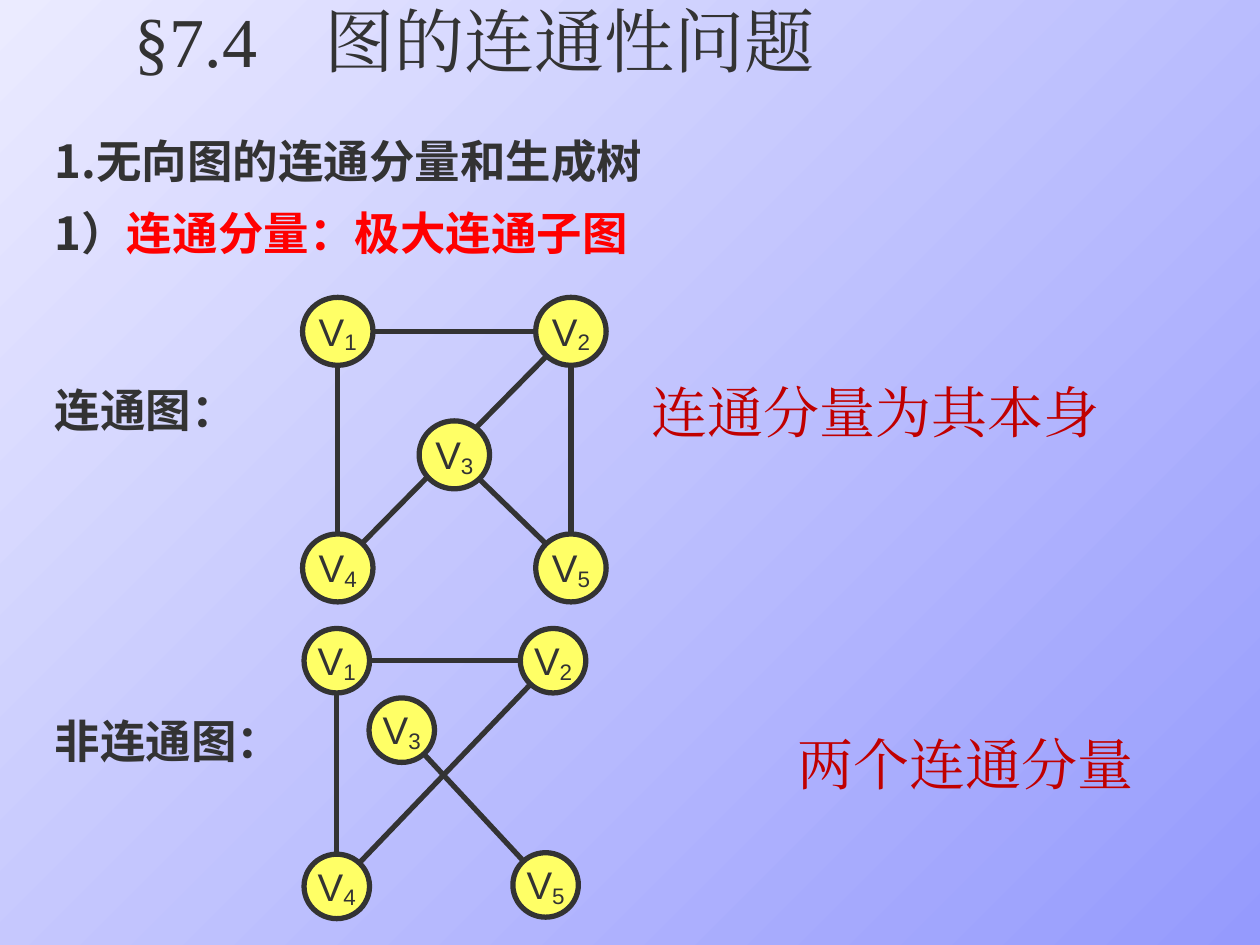
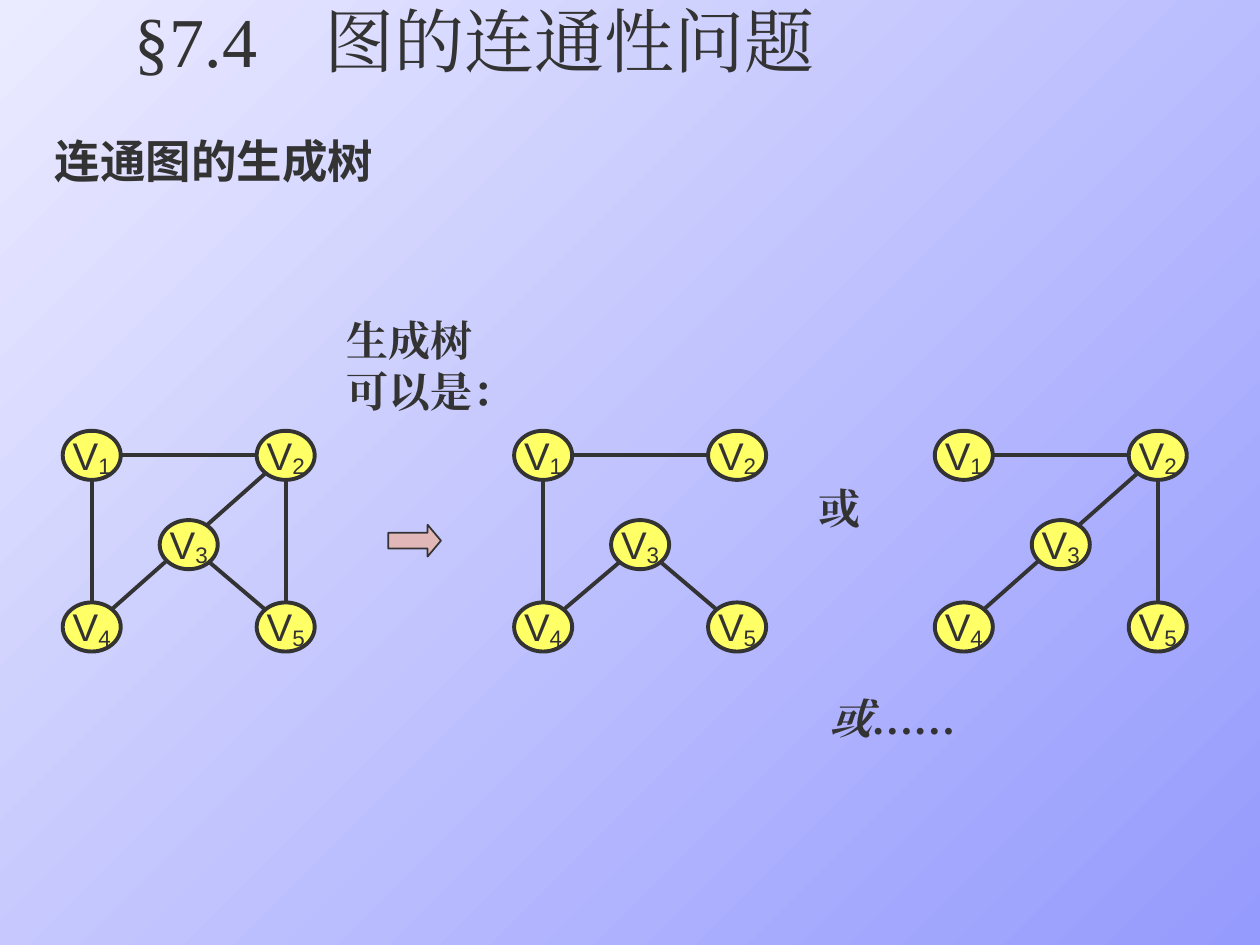
"""Build two slides on graph connectivity and spanning trees."""
from math import hypot

from lxml.etree import SubElement
from pptx import Presentation
from pptx.dml.color import RGBColor
from pptx.enum.shapes import MSO_CONNECTOR as Connector
from pptx.enum.shapes import MSO_SHAPE as Shape
from pptx.enum.text import MSO_ANCHOR as Anchor
from pptx.enum.text import PP_ALIGN as Align
from pptx.oxml.ns import qn
from pptx.util import Cm, Pt

INK, RED, DARK_RED = "333333", "FF0000", "C00000"
YELLOW, PINK = "FFFF66", "E1B7B7"
BACKGROUND = ("EBEBFF", "959AFD")
SANS, SERIF, LATIN = "Noto Sans CJK SC", "Times New Roman", "Arial"
BODY_LEFT, BODY_TOP, BODY_PITCH = 1.1, 2.69, 1.67
FULL_EDGES = [(1, 4), (2, 5), (1, 2), (3, 5), (2, 4)]


def color(hex_value):
    """Turn a hex string into a colour."""
    return RGBColor.from_string(hex_value)


def add_run(paragraph, text, size, font=SERIF, ink=INK, bold=False, italic=False):
    """Append one formatted run, using the font for every script."""
    run = paragraph.add_run()
    run.text = text
    run.font.name = font
    run.font.size = Pt(size)
    run.font.bold = bold
    run.font.italic = italic
    run.font.color.rgb = color(ink)
    SubElement(run._r.get_or_add_rPr(), qn("a:ea")).set("typeface", font)
    return run


def add_text(slide, left, top, width, height):
    """Add a wrapping text box without insets and return its text frame."""
    frame = slide.shapes.add_textbox(Cm(left), Cm(top), Cm(width), Cm(height)).text_frame
    frame.word_wrap = True
    frame.margin_left = frame.margin_right = 0
    frame.margin_top = frame.margin_bottom = 0
    return frame


def add_label(slide, text, box, size, **style):
    """Add a text box holding a single run and return its paragraph."""
    paragraph = add_text(slide, *box).paragraphs[0]
    add_run(paragraph, text, size, **style)
    return paragraph


def add_body(slide, row, *lines):
    """Add bold body lines, starting on a row of the body grid."""
    top = BODY_TOP + row * BODY_PITCH
    frame = add_text(slide, BODY_LEFT, top, 22, BODY_PITCH * len(lines))
    for index, line in enumerate(lines):
        paragraph = frame.add_paragraph() if index else frame.paragraphs[0]
        if index:
            paragraph.space_before = Pt(9.8)
        for text, ink in line:
            add_run(paragraph, text, 26, SANS, ink, bold=True)


def outline(shape, fill, weight):
    """Give a shape a flat fill and a dark line without shadow."""
    shape.shadow.inherit = False
    shape.fill.solid()
    shape.fill.fore_color.rgb = color(fill)
    shape.line.color.rgb = color(INK)
    shape.line.width = Pt(weight)


def border_point(center, target, size):
    """Find where the line from center to target leaves the node."""
    dx, dy = target[0] - center[0], target[1] - center[1]
    scale = 1 / hypot(2 * dx / size[0], 2 * dy / size[1])
    return Cm(center[0] + dx * scale), Cm(center[1] + dy * scale)


def add_edge(shapes, start, end, size, weight):
    """Draw an edge between the borders of two nodes."""
    edge = shapes.add_connector(Connector.STRAIGHT, *border_point(start, end, size),
                                *border_point(end, start, size))
    edge.line.color.rgb = color(INK)
    edge.line.width = Pt(weight)
    SubElement(edge._element.spPr, qn("a:effectLst"))


def add_node(shapes, number, center, size, weight):
    """Draw one vertex with its subscripted name."""
    width, height = size
    node = shapes.add_shape(Shape.OVAL, Cm(center[0] - width / 2),
                            Cm(center[1] - height / 2), Cm(width), Cm(height))
    outline(node, YELLOW, weight)
    frame = node.text_frame
    frame.word_wrap = False
    frame.vertical_anchor = Anchor.MIDDLE
    frame.margin_left = frame.margin_right = 0
    frame.margin_top = frame.margin_bottom = 0
    paragraph = frame.paragraphs[0]
    paragraph.alignment = Align.CENTER
    add_run(paragraph, "V", 22, LATIN)
    subscript = add_run(paragraph, str(number), 22, LATIN)
    subscript._r.get_or_add_rPr().set("baseline", "-12000")


def add_graph(slide, centers, edges, size, weight):
    """Draw a grouped graph, with its edges behind its vertices."""
    shapes = slide.shapes.add_group_shape().shapes
    for first, second in edges:
        add_edge(shapes, centers[first - 1], centers[second - 1], size, weight)
    for number, center in enumerate(centers, 1):
        add_node(shapes, number, center, size, weight)


def square_layout(left, top, width, height, drop):
    """Place V1, V2, V4 and V5 at the corners and V3 between them."""
    right, bottom = left + width, top + height
    return [(left, top), (right, top), (left + width / 2, top + drop),
            (left, bottom), (right, bottom)]


def add_slide(presentation):
    """Add a blank slide with the shared background and title."""
    slide = presentation.slides.add_slide(presentation.slide_layouts[6])
    fill = slide.background.fill
    fill.gradient()
    fill.gradient_angle = 315
    for stop, hex_value, position in zip(fill.gradient_stops, BACKGROUND, (0, 1)):
        stop.color.rgb = color(hex_value)
        stop.position = position
    title = add_label(slide, "§7.4\t图的连通性问题", (2.72, -0.05, 14.5, 1.7), 40)
    tabs = SubElement(title._p.get_or_add_pPr(), qn("a:tabLst"))
    tab = SubElement(tabs, qn("a:tab"))
    tab.set("pos", str(Cm(3.83)))
    tab.set("algn", "l")
    return slide


def build_components(presentation):
    """Build the slide on connected components."""
    slide = add_slide(presentation)
    add_body(slide, 0, [("1.无向图的连通分量和生成树", INK)],
             [("1）", INK), ("连通分量：极大连通子图", RED)])
    add_body(slide, 3, [("连通图：", INK)])
    add_body(slide, 7, [("非连通图：", INK)])
    add_graph(slide, square_layout(6.81, 6.68, 4.7, 4.77, 2.49),
              FULL_EDGES, (1.42, 1.37), 3)
    add_label(slide, "连通分量为其本身", (13.13, 7.62, 9.2, 1.35), 32, ink=DARK_RED)
    split_centers = [(6.79, 13.32), (11.15, 13.32), (8.1, 14.72),
                     (6.79, 17.87), (11, 17.84)]
    add_graph(slide, split_centers, [(1, 4), (1, 2), (3, 5), (2, 4)], (1.32, 1.3), 3)
    add_label(slide, "两个连通分量", (16.08, 14.71, 7.8, 1.35), 32, ink=DARK_RED)


def build_spanning_trees(presentation):
    """Build the slide on spanning trees of a connected graph."""
    slide = add_slide(presentation)
    add_body(slide, 0, [("连通图的生成树", INK)])
    trees = [(1.85, FULL_EDGES),
             (10.95, [(1, 4), (1, 2), (3, 5), (3, 4)]),
             (19.43, [(2, 5), (1, 2), (2, 4)])]
    for left, edges in trees:
        add_graph(slide, square_layout(left, 9.18, 3.91, 3.46, 1.8),
                  edges, (1.17, 0.99), 2.25)
    add_label(slide, "生成树可以是：", (6.99, 6.35, 2.97, 3.05), 24, bold=True)
    arrow = slide.shapes.add_shape(Shape.RIGHT_ARROW, Cm(7.83), Cm(10.58),
                                   Cm(1.06), Cm(0.64))
    arrow.adjustments[1] = 0.42
    outline(arrow, PINK, 1)
    add_label(slide, "或", (16.51, 9.72, 0.9, 1.02), 24, bold=True)
    more = add_label(slide, "或", (16.72, 13.97, 5.5, 1.02), 24, bold=True, italic=True)
    add_run(more, "……", 24, bold=True)


def main():
    """Create and save the presentation."""
    presentation = Presentation()
    presentation.slide_width, presentation.slide_height = Cm(25.4), Cm(19.05)
    build_components(presentation)
    build_spanning_trees(presentation)
    presentation.save("out.pptx")


if __name__ == "__main__":
    main()
